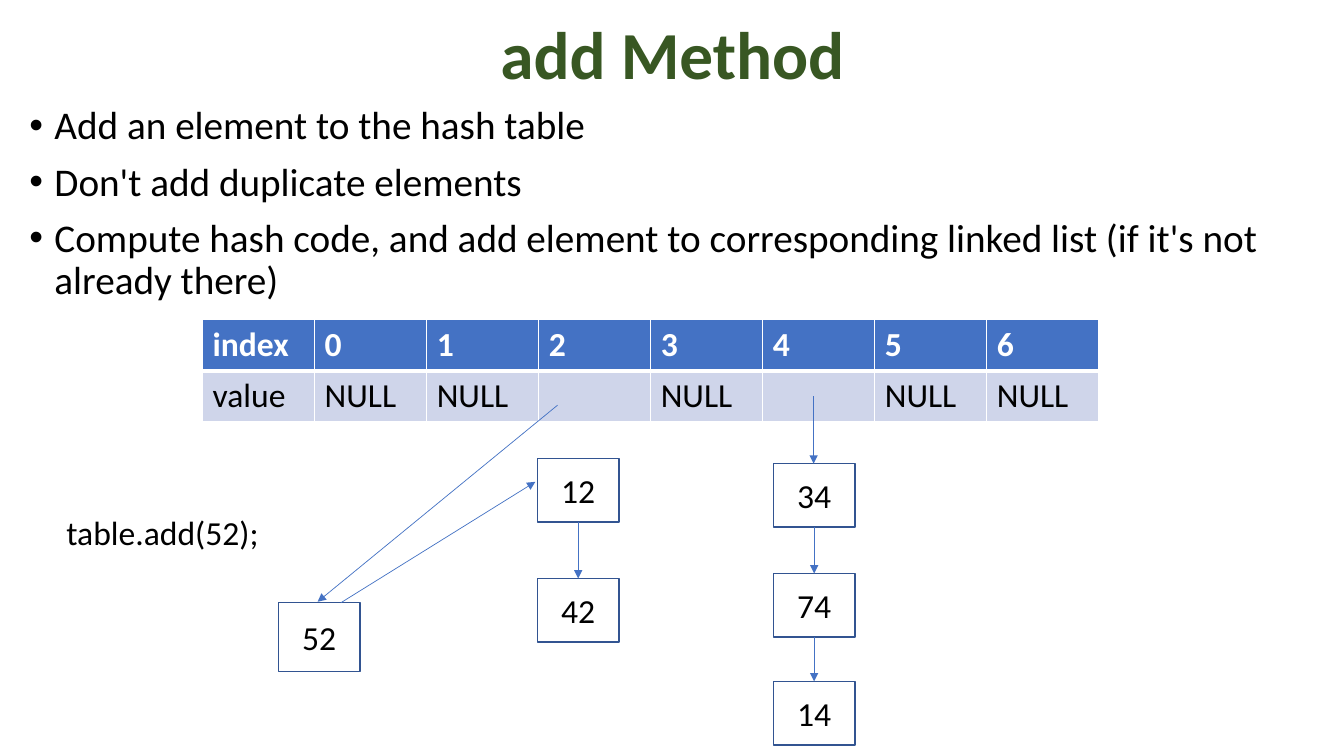
from pptx import Presentation
from pptx.dml.color import RGBColor
from pptx.enum.shapes import MSO_CONNECTOR, MSO_SHAPE
from pptx.enum.text import MSO_ANCHOR, MSO_AUTO_SIZE, PP_ALIGN
from pptx.oxml import parse_xml
from pptx.oxml.ns import nsdecls
from pptx.util import Inches, Pt

BLACK = RGBColor(0x00, 0x00, 0x00)
WHITE = RGBColor(0xFF, 0xFF, 0xFF)
GREEN = RGBColor(0x38, 0x57, 0x23)
BLUE = RGBColor(0x44, 0x72, 0xC4)
NAVY = RGBColor(0x32, 0x54, 0x91)
PALE = RGBColor(0xCF, 0xD5, 0xEA)
CENTER = PP_ALIGN.CENTER
LEFT = PP_ALIGN.LEFT
MIDDLE = MSO_ANCHOR.MIDDLE
TOP = MSO_ANCHOR.TOP
NO_FIT = MSO_AUTO_SIZE.NONE
RECTANGLE = MSO_SHAPE.RECTANGLE
STRAIGHT = MSO_CONNECTOR.STRAIGHT


def element(tag, attributes="", content=""):
    return parse_xml(f"<a:{tag} {nsdecls('a')} {attributes}>{content}</a:{tag}>")


def write(para, text, font="Calibri", size=24, color=BLACK, bold=False,
          align=LEFT, line_spacing=None, space_before=None):
    para.alignment = align
    para.line_spacing = line_spacing
    para.space_before = space_before
    span = para.add_run()
    span.text = text
    span.font.name = font
    span.font.size = Pt(size)
    span.font.color.rgb = color
    span.font.bold = bold


class SlideBuilder:
    text_size = 24
    node_width = 0.81
    node_height = 0.63

    def __init__(self, page):
        self.page = page

    def place(self, box, left, top, width, height, anchor):
        box.left, box.top = Inches(left), Inches(top)
        box.width, box.height = Inches(width), Inches(height)
        frame = box.text_frame
        frame.word_wrap = True
        frame.auto_size = NO_FIT
        frame.vertical_anchor = anchor
        return frame

    def title(self, text, *area):
        frame = self.place(self.page.shapes.title, *area, MIDDLE)
        write(frame.paragraphs[0], text, size=48, color=GREEN, bold=True,
              align=CENTER, line_spacing=0.9)

    def bullets(self, items, *area):
        frame = self.place(self.page.placeholders[1], *area, TOP)
        for number, item in enumerate(items):
            para = frame.add_paragraph() if number else frame.paragraphs[0]
            write(para, item, size=28, line_spacing=0.9, space_before=Pt(10))
            properties = para._p.get_or_add_pPr()
            properties.set("marL", str(Inches(0.25)))
            properties.set("indent", str(-Inches(0.25)))
            properties.append(element("buFont", 'typeface="Arial"'))
            properties.append(element("buChar", 'char="•"'))

    def label(self, text, left, top, width, height):
        box = self.page.shapes.add_textbox(0, 0, 0, 0)
        frame = self.place(box, left, top, width, height, TOP)
        write(frame.paragraphs[0], text, size=self.text_size)

    def borders(self, cell, bottom):
        properties = cell._tc.get_or_add_tcPr()
        sides = {"lnL": 1, "lnR": 1, "lnT": 1, "lnB": bottom}
        for position, (side, width) in enumerate(sides.items()):
            fill = f'<a:solidFill><a:srgbClr val="{WHITE}"/></a:solidFill>'
            properties.insert(position, element(side, f'w="{Pt(width)}"', fill))

    def table(self, rows, left, top, width, height):
        table = self.page.shapes.add_table(
            len(rows), len(rows[0]), Inches(left), Inches(top),
            Inches(width), Inches(height)).table
        for row, values in enumerate(rows):
            header = row == 0
            for column, value in enumerate(values):
                cell = table.cell(row, column)
                cell.fill.solid()
                cell.fill.fore_color.rgb = BLUE if header else PALE
                self.borders(cell, bottom=3 if header else 1)
                if value:
                    write(cell.text_frame.paragraphs[0], value,
                          size=self.text_size, bold=header,
                          color=WHITE if header else BLACK)

    def node(self, text, left, top, height=node_height):
        box = self.page.shapes.add_shape(RECTANGLE, 0, 0, 0, 0)
        box.shadow.inherit = False
        box.fill.solid()
        box.fill.fore_color.rgb = WHITE
        box.line.color.rgb = NAVY
        box.line.width = Pt(1)
        frame = self.place(box, left, top, self.node_width, height, MIDDLE)
        write(frame.paragraphs[0], text, size=self.text_size, align=CENTER)

    def arrow(self, start, end):
        line = self.page.shapes.add_connector(
            STRAIGHT, *(Inches(value) for value in (*start, *end)))
        line.line.color.rgb = BLUE
        line.line.width = Pt(0.5)
        line.line._get_or_add_ln().append(element("tailEnd", 'type="triangle"'))
        line._element.spPr.append(element("effectLst"))

    def linked_list(self, left, nodes):
        center = left + self.node_width / 2
        previous_bottom = None
        for text, top in nodes:
            self.node(text, left, top)
            if previous_bottom:
                self.arrow((center, previous_bottom), (center, top))
            previous_bottom = top + self.node_height


deck = Presentation()
deck.slide_width = Inches(13.33)
deck.slide_height = Inches(7.5)
slide = SlideBuilder(deck.slides.add_slide(deck.slide_layouts[1]))

slide.title("add Method", 0.92, 0.01, 11.5, 1.12)
slide.bullets([
    "Add an element to the hash table",
    "Don't add duplicate elements",
    "Compute hash code, and add element to corresponding linked list "
    "(if it's not already there)",
], 0.19, 1, 13.19, 6.35)

filled_buckets = (2, 4)
buckets = range(7)
slide.table([
    ["index"] + [str(bucket) for bucket in buckets],
    ["value"] + ["" if bucket in filled_buckets else "NULL" for bucket in buckets],
], 2.01, 3.17, 8.89, 1)

slide.linked_list(5.33, [("12", 4.55), ("42", 5.74)])
slide.linked_list(7.67, [("34", 4.6), ("74", 5.69), ("14", 6.76)])
slide.arrow((8.07, 3.93), (8.07, 4.6))

slide.label("table.add(52);", 0.56, 5.03, 2.85, 0.5)
slide.node("52", 2.76, 5.98, height=0.68)
slide.arrow((5.53, 4.02), (3.15, 5.97))
slide.arrow((3.38, 5.98), (5.31, 4.78))

deck.save("out.pptx")
